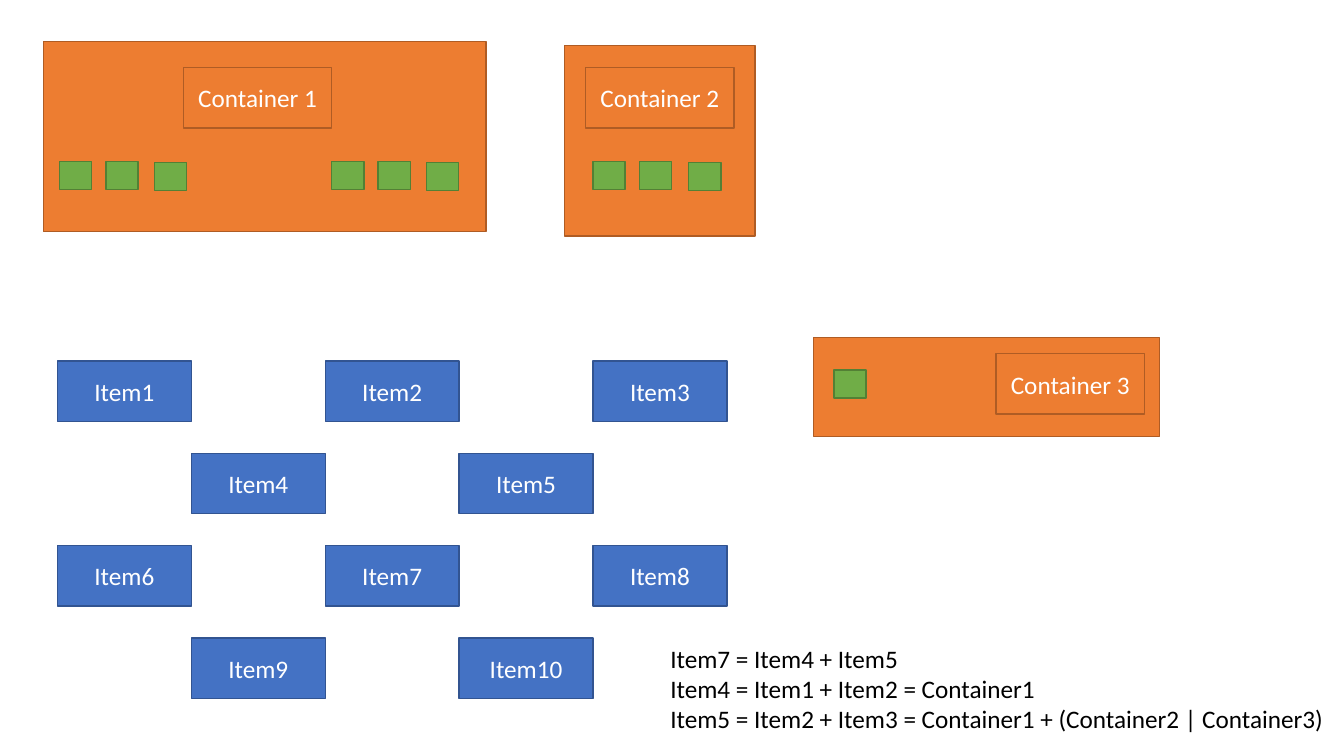
from dataclasses import dataclass

from pptx import Presentation
from pptx.dml.color import RGBColor
from pptx.enum.shapes import MSO_SHAPE
from pptx.enum.text import MSO_ANCHOR, MSO_AUTO_SIZE, PP_ALIGN
from pptx.util import Inches, Pt


@dataclass(frozen=True)
class Theme:
    """Colours as (fill, line) pairs, and type settings."""
    container: tuple = ("ED7D31", "AF5C24")
    item: tuple = ("4472C4", "325491")
    slot: tuple = ("70AD47", "538035")
    light: str = "FFFFFF"
    dark: str = "000000"
    font: str = "Calibri"
    size: int = 18
    line: int = 1


THEME = Theme()
CONTAINERS = [
    {"name": "Container 3", "box": (8.07, 3.35, 3.43, 0.98),
     "label": (1.81, 0.16), "slots": [(0.2, 0.32)]},
    {"name": "Container 2", "box": (5.6, 0.45, 1.89, 1.89),
     "label": (0.21, 0.22), "slots": [(0.28, 1.15), (0.74, 1.15), (1.23, 1.16)]},
    {"name": "Container 1", "box": (0.43, 0.41, 4.39, 1.89),
     "label": (1.39, 0.26),
     "slots": [(group + dx, dy) for group in (0.16, 2.86)
               for dx, dy in ((0, 1.19), (0.46, 1.19), (0.94, 1.2))]},
]
ITEM_ROWS = [(0, 2, 4), (1, 3), (0, 2, 4), (1, 3)]
RULES = [
    "Item7 = Item4 + Item5",
    "Item4 = Item1 + Item2 = Container1",
    "Item5 = Item2 + Item3 = Container1 + (Container2 | Container3)",
]


def write(p, text, color):
    """Add one formatted run to a paragraph."""
    r = p.add_run()
    r.text = text
    formats = {"name": THEME.font, "size": Pt(THEME.size)}
    for key, value in formats.items():
        setattr(r.font, key, value)
    r.font.color.rgb = RGBColor.from_string(color)


def add_box(s, box, colors, text=None):
    """Draw an outlined rectangle with an optional centred label."""
    sp = s.shapes.add_shape(MSO_SHAPE.RECTANGLE, *map(Inches, box))
    sp.shadow.inherit = False
    fill, line = map(RGBColor.from_string, colors)
    sp.fill.solid()
    sp.fill.fore_color.rgb = fill
    sp.line.color.rgb = line
    sp.line.width = Pt(THEME.line)
    if text:
        tf = sp.text_frame
        tf.vertical_anchor = MSO_ANCHOR.MIDDLE
        p = tf.paragraphs[0]
        p.alignment = PP_ALIGN.CENTER
        write(p, text, THEME.light)


def add_container(s, box, name, label, slots):
    """Draw a container with its label and slots offset from its corner."""
    x, y = box[:2]
    add_box(s, box, THEME.container)
    add_box(s, (x + label[0], y + label[1], 1.47, 0.6), THEME.container, name)
    for dx, dy in slots:
        add_box(s, (x + dx, y + dy, 0.32, 0.28), THEME.slot)


def add_items(s, box):
    """Draw the numbered items on a checkerboard that fills the box."""
    x, y, w, h = box
    item_w, item_h = w / 5, 0.6
    pitch = (h - item_h) / (len(ITEM_ROWS) - 1)
    cells = [(row, col) for row, cols in enumerate(ITEM_ROWS) for col in cols]
    for number, (row, col) in enumerate(cells, 1):
        place = (x + col * item_w, y + row * pitch, item_w, item_h)
        add_box(s, place, THEME.item, f"Item{number}")


def add_rules(s, box):
    """Write the composition rules, one paragraph each."""
    tf = s.shapes.add_textbox(*map(Inches, box)).text_frame
    formats = {"word_wrap": False, "auto_size": MSO_AUTO_SIZE.SHAPE_TO_FIT_TEXT}
    for key, value in formats.items():
        setattr(tf, key, value)
    for i, rule in enumerate(RULES):
        p = tf.add_paragraph() if i else tf.paragraphs[0]
        write(p, rule, THEME.dark)


def main():
    """Build the slide and save it."""
    prs = Presentation()
    prs.slide_width, prs.slide_height = Inches(13.33), Inches(7.5)
    s = prs.slides.add_slide(prs.slide_layouts[6])
    for container in CONTAINERS:
        add_container(s, **container)
    add_items(s, (0.57, 3.58, 6.64, 3.35))
    add_rules(s, (6.55, 6.33, 6.76, 1.01))
    prs.save("out.pptx")


if __name__ == "__main__":
    main()
